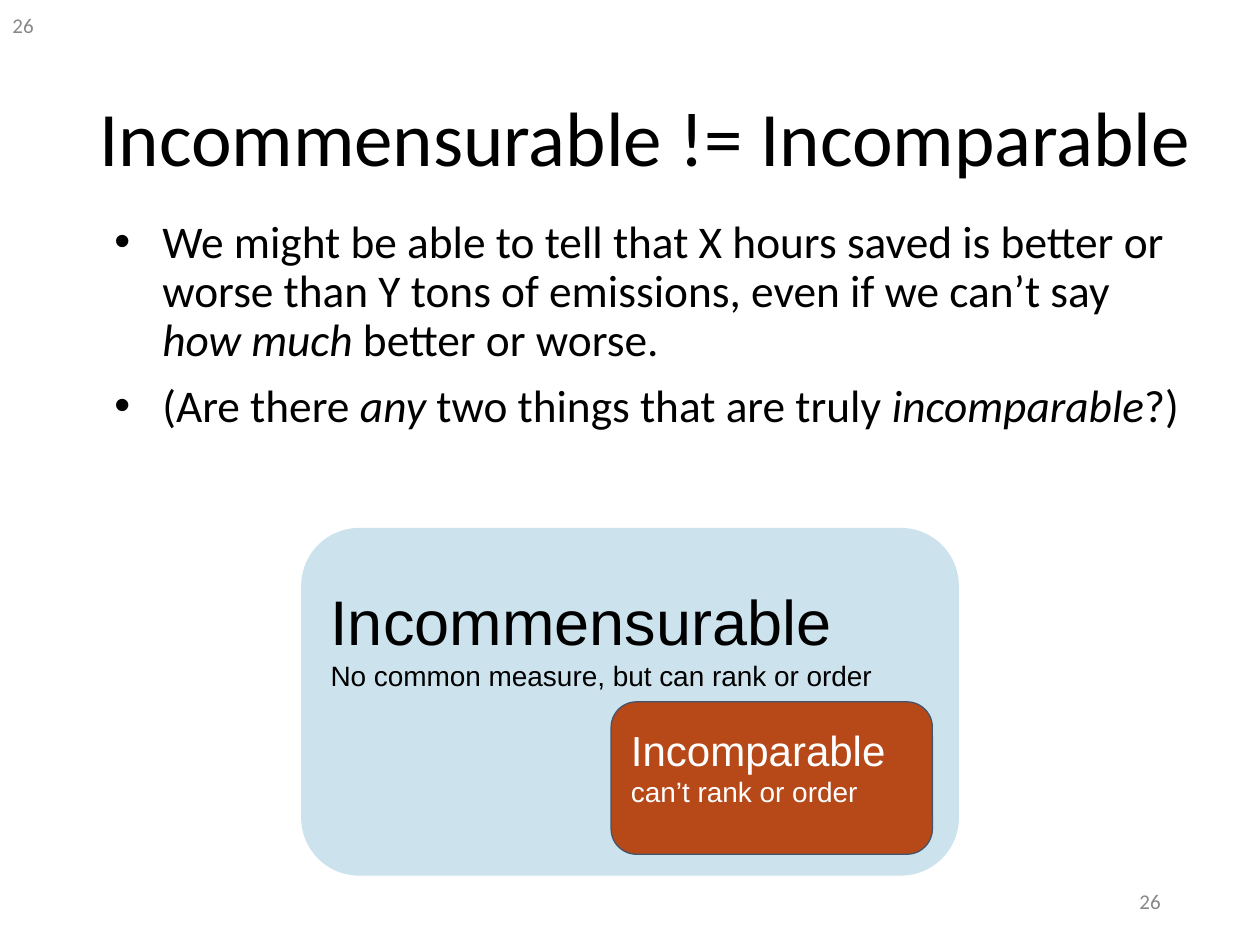
from lxml.etree import SubElement
from pptx import Presentation
from pptx.dml.color import RGBColor
from pptx.enum.shapes import MSO_SHAPE
from pptx.enum.text import MSO_ANCHOR, PP_ALIGN
from pptx.oxml.ns import qn
from pptx.util import Inches, Pt

COLORS = {
    "text": "000000",
    "number": "888888",
    "outer": "CCE3ED",
    "inner": "B74919",
    "outline": "44546A",
    "light": "FFFFFF",
}

presentation = Presentation()
presentation.slide_width = Inches(10)
presentation.slide_height = Inches(7.5)
slide = presentation.slides.add_slide(presentation.slide_layouts[6])

# Grid of 100 columns by 75 rows
COLUMN = presentation.slide_width / 100
ROW = presentation.slide_height / 75


def grid(left, top, width, height):
    return [round(n * unit) for n, unit in
            zip((left, top, width, height), (COLUMN, ROW, COLUMN, ROW))]


def write(shape, text, sizes, font="Calibri", color="text", align=PP_ALIGN.LEFT,
          anchor=MSO_ANCHOR.TOP, top=0.05, spacing=None, before=0, bullet=False):
    """Write one paragraph per line; parts between asterisks are italic."""
    frame = shape.text_frame
    frame.word_wrap = True
    frame.vertical_anchor = anchor
    frame.margin_top = Inches(top)
    for index, line in enumerate(text.split("\n")):
        paragraph = frame.add_paragraph() if index else frame.paragraphs[0]
        paragraph.alignment = align
        if spacing:
            paragraph.line_spacing = spacing
        paragraph.space_before = Pt(before if index else 0)
        if bullet:
            properties = paragraph._p.get_or_add_pPr()
            properties.set("marL", str(Inches(0.5)))
            properties.set("indent", str(Inches(-0.38)))
            SubElement(properties, qn("a:buFont"), typeface="Arial")
            SubElement(properties, qn("a:buChar"), char="•")
        for position, part in enumerate(line.split("*")):
            run = paragraph.add_run()
            run.text = part
            run.font.name = font
            run.font.size = Pt(sizes[index])
            run.font.italic = position % 2 == 1
            run.font.color.rgb = RGBColor.from_string(COLORS[color])


# Title
title = slide.shapes.add_textbox(*grid(6.9, 4, 89.6, 14.5))
write(title, "Incommensurable != Incomparable", [44],
      anchor=MSO_ANCHOR.MIDDLE, spacing=0.9)

# Bullets
body = slide.shapes.add_textbox(*grid(6.9, 16.9, 88.6, 20.6))
write(body,
      "We might be able to tell that X hours saved is better or worse than "
      "Y tons of emissions, even if we can’t say *how much* better or worse.\n"
      "(Are there *any* two things that are truly *incomparable*?)",
      [25.9, 25.9], spacing=0.9, before=10, bullet=True)

# Slide numbers, top left and bottom right
for left, top, align in [(0, 0, PP_ALIGN.LEFT), (70.6, 69.5, PP_ALIGN.RIGHT)]:
    number = slide.shapes.add_textbox(*grid(left, top, 22.5, 4))
    write(number, "26", [12], color="number", align=align, anchor=MSO_ANCHOR.MIDDLE)

# Nested boxes: the incomparable lies inside the incommensurable
boxes = [
    ((23.9, 41.9, 52.2, 27.6), "outer", None, "text", 0.3, [36, 16],
     "Incommensurable\nNo common measure, but can rank or order"),
    ((48.5, 55.7, 25.5, 12.1), "inner", "outline", "light", 0.12, [24, 16],
     "Incomparable\ncan’t rank or order"),
]
for place, fill, outline, color, top, sizes, text in boxes:
    box = slide.shapes.add_shape(MSO_SHAPE.ROUNDED_RECTANGLE, *grid(*place))
    box.shadow.inherit = False
    box.fill.solid()
    box.fill.fore_color.rgb = RGBColor.from_string(COLORS[fill])
    if outline:
        box.line.color.rgb = RGBColor.from_string(COLORS[outline])
        box.line.width = Pt(0.75)
    else:
        box.line.fill.background()
    write(box, text, sizes, font="Arial", color=color, top=top)

presentation.save("out.pptx")
